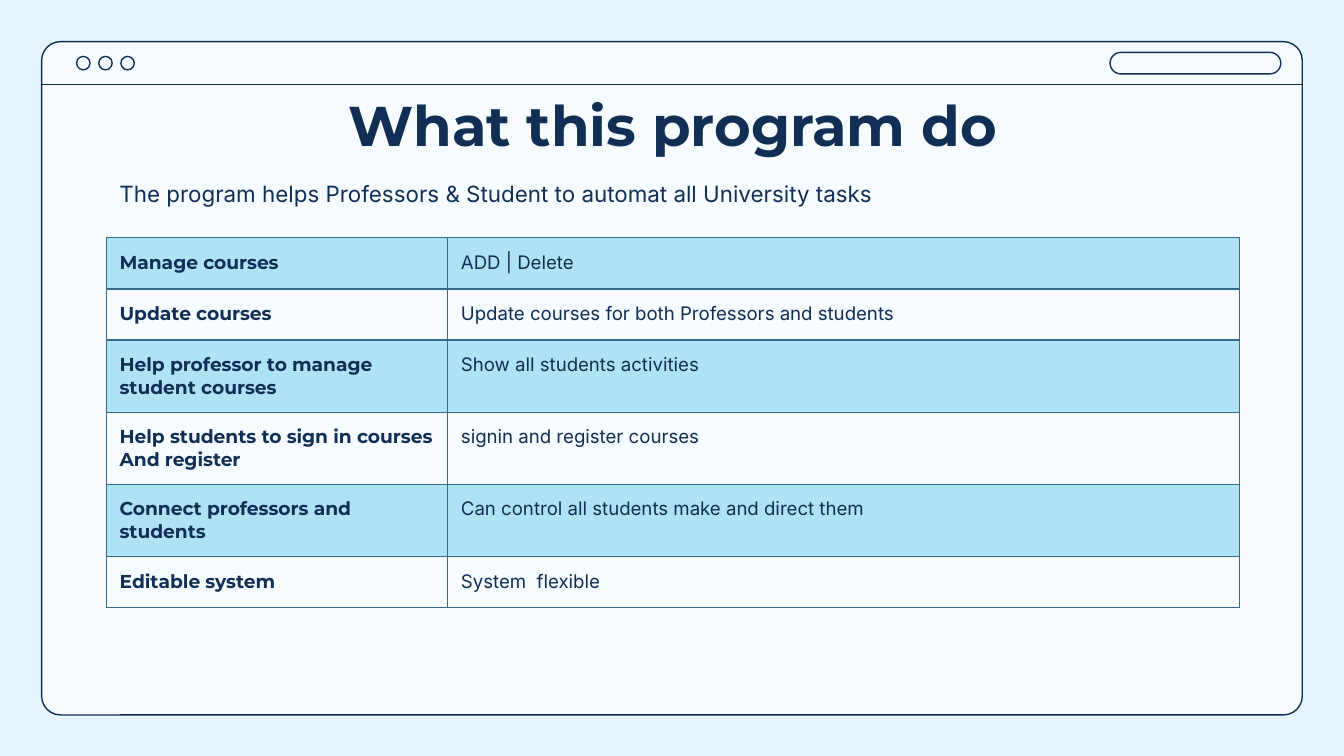
from lxml.etree import SubElement
from pptx import Presentation
from pptx.dml.color import RGBColor
from pptx.enum.shapes import MSO_CONNECTOR, MSO_SHAPE
from pptx.enum.text import MSO_ANCHOR, MSO_AUTO_SIZE, PP_ALIGN
from pptx.oxml.ns import qn
from pptx.util import Inches, Pt

HUES = {"back": "E4F5FB", "panel": "F5FBFF", "ink": "112E54",
        "band": "AEE2F4", "rule": "356B90"}
HEAD, BODY = "Montserrat", "Inter"
ROWS = [
    ("Manage courses", "ADD | Delete"),
    ("Update courses", "Update courses for both Professors and students"),
    ("Help professor to manage student courses", "Show all students activities"),
    ("Help students to sign in courses\nAnd register", "signin and register courses"),
    ("Connect professors and students", "Can control all students make and direct them"),
    ("Editable system", "System  flexible"),
]


def hue(name):
    return RGBColor.from_string(HUES[name])


def pad(item):
    """Give a text frame or a table cell equal margins."""
    item.margin_left = item.margin_right = Inches(0.1)
    item.margin_top = item.margin_bottom = Inches(0.1)


def style(frame, font, size, bold=False, align=PP_ALIGN.LEFT):
    for para in frame.paragraphs:
        para.alignment = align
        for run in para.runs:
            run.font.name = font
            run.font.size = Pt(size)
            run.font.bold = bold
            run.font.color.rgb = hue("ink")


def outline(slide, kind, left, top, width, height, fill=None, round_by=None):
    shape = slide.shapes.add_shape(
        kind, Inches(left), Inches(top), Inches(width), Inches(height))
    shape.shadow.inherit = False
    if fill:
        shape.fill.solid()
        shape.fill.fore_color.rgb = hue(fill)
    else:
        shape.fill.background()
    shape.line.color.rgb = hue("ink")
    shape.line.width = Pt(0.75)
    if round_by is not None:
        shape.adjustments[0] = round_by


def add_window(slide, left, top, width, height):
    """Draw the browser frame with its three buttons and address bar."""
    outline(slide, MSO_SHAPE.ROUNDED_RECTANGLE, left, top, width, height,
            "panel", 0.028)
    for i in range(3):
        outline(slide, MSO_SHAPE.OVAL, left + 0.26 + i * 0.165, top + 0.11, 0.1, 0.1)
    outline(slide, MSO_SHAPE.ROUNDED_RECTANGLE, left + width - 1.43, top + 0.08,
            1.27, 0.16, round_by=0.5)
    bar = Inches(top + 0.32)
    line = slide.shapes.add_connector(
        MSO_CONNECTOR.STRAIGHT, Inches(left), bar, Inches(left + width), bar)
    line.line.color.rgb = hue("ink")
    line.line.width = Pt(0.75)
    SubElement(line._element.spPr, qn("a:effectLst"))


def add_title(slide, left, top, width, height):
    """Fill the title placeholder and raise it above the window."""
    title = slide.shapes.title
    title.left, title.top = Inches(left), Inches(top)
    title.width, title.height = Inches(width), Inches(height)
    frame = title.text_frame
    frame.text = "What this program do"
    frame.word_wrap = True
    frame.auto_size = MSO_AUTO_SIZE.NONE
    frame.vertical_anchor = MSO_ANCHOR.TOP
    pad(frame)
    style(frame, HEAD, 30, True, PP_ALIGN.CENTER)
    slide.shapes._spTree.append(title._element)


def add_intro(slide, left, top, width, height):
    box = slide.shapes.add_textbox(
        Inches(left), Inches(top), Inches(width), Inches(height))
    frame = box.text_frame
    frame.text = ("The program helps Professors & Student "
                  "to automat all University tasks")
    frame.word_wrap = True
    pad(frame)
    style(frame, BODY, 12)


def add_border(cell):
    props = cell._tc.get_or_add_tcPr()
    for i, side in enumerate(("lnL", "lnR", "lnT", "lnB")):
        edge = props.makeelement(qn(f"a:{side}"), {"w": str(Pt(0.75))})
        fill = SubElement(edge, qn("a:solidFill"))
        SubElement(fill, qn("a:srgbClr"), val=HUES["rule"])
        props.insert(i, edge)


def add_tasks(slide, left, top, widths, row_height):
    table = slide.shapes.add_table(
        len(ROWS), len(widths), Inches(left), Inches(top),
        Inches(sum(widths)), Inches(row_height * len(ROWS))).table
    table.first_row = table.horz_banding = False
    for col, width in zip(table.columns, widths):
        col.width = Inches(width)
    for r, texts in enumerate(ROWS):
        for c, text in enumerate(texts):
            cell = table.cell(r, c)
            cell.text_frame.text = text
            pad(cell)
            style(cell.text_frame, BODY if c else HEAD, 10, c == 0)
            if r % 2 == 0:
                cell.fill.solid()
                cell.fill.fore_color.rgb = hue("band")
            else:
                cell.fill.background()
            add_border(cell)


def main():
    deck = Presentation()
    deck.slide_width = Inches(10)
    deck.slide_height = deck.slide_width * 9 // 16
    slide = deck.slides.add_slide(deck.slide_layouts[5])
    slide.background.fill.solid()
    slide.background.fill.fore_color.rgb = hue("back")
    add_window(slide, 0.31, 0.31, 9.38, 5.01)
    add_title(slide, 0.79, 0.57, 8.43, 0.63)
    add_tasks(slide, 0.79, 1.77, (2.54, 5.89), 0.38)
    add_intro(slide, 0.79, 1.24, 8.43, 0.38)
    deck.save("out.pptx")


if __name__ == "__main__":
    main()
